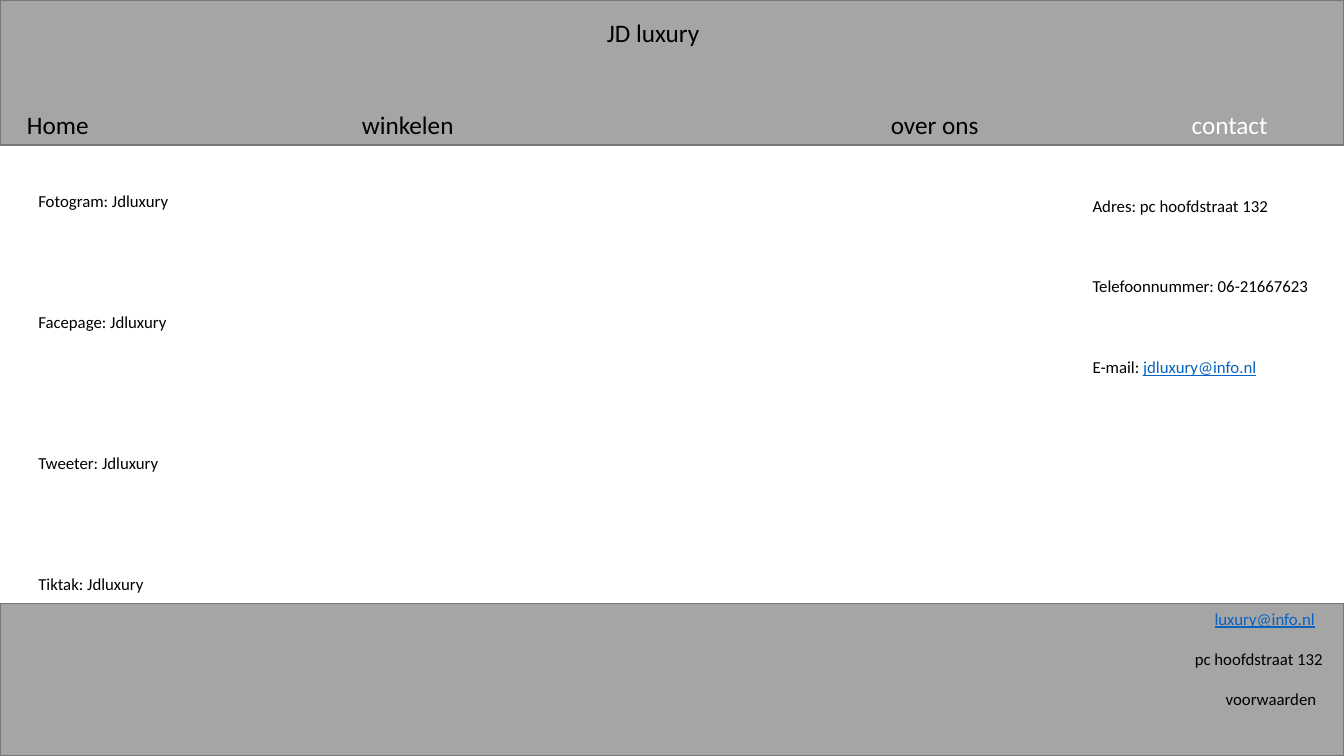
from pptx import Presentation
from pptx import util as u
from pptx.dml.color import RGBColor
from pptx.enum import shapes, text
from lxml import etree

COLORS = {
    "band": "A5A5A5",
    "edge": "787878",
    "ink": "000000",
    "active": "FFFFFF",
    "link": "0563C1",
}
DRAWING = "{http://schemas.openxmlformats.org/drawingml/2006/main}"
LINE = 14.4
SLIDE_WIDTH = 33.87
SLIDE_HEIGHT = 19.05


def rgb(key):
    return RGBColor.from_string(COLORS[key])


def write(paragraph, words, size=12, color="ink", underline=False):
    run = paragraph.add_run()
    run.text = words
    run.font.name = "Calibri"
    run.font.size = u.Pt(size)
    run.font.color.rgb = rgb(color)
    run.font.underline = underline


def place(holder, left, top, width, height):
    holder.left, holder.top = u.Cm(left), u.Cm(top)
    holder.width, holder.height = u.Cm(width), u.Cm(height)
    frame = holder.text_frame
    frame.word_wrap = True
    frame.auto_size = text.MSO_AUTO_SIZE.NONE
    frame.vertical_anchor = text.MSO_ANCHOR.TOP
    return frame


def next_line(frame, gap=0, indent=0):
    first = not frame.paragraphs[0].runs
    paragraph = frame.paragraphs[0] if first else frame.add_paragraph()
    paragraph.alignment = text.PP_ALIGN.LEFT
    paragraph.line_spacing = 1.0
    paragraph.space_before = u.Pt(gap * LINE)
    paragraph.space_after = u.Pt(0)
    properties = paragraph._p.get_or_add_pPr()
    properties.set("marL", str(u.Cm(indent)))
    properties.set("indent", "0")
    etree.SubElement(properties, DRAWING + "buNone")
    return paragraph


def add_band(slide, top, height):
    band = slide.shapes.add_shape(
        shapes.MSO_SHAPE.RECTANGLE, 0, u.Cm(top), u.Cm(SLIDE_WIDTH), u.Cm(height))
    band.shadow.inherit = False
    band.fill.solid()
    band.fill.fore_color.rgb = rgb("band")
    band.line.color.rgb = rgb("edge")
    band.line.width = u.Pt(1)
    slide.shapes.title.element.addprevious(band.element)


def add_header(slide, top, height):
    add_band(slide, top, height)
    shop_name = place(slide.shapes.title, 15.04, top + 0.3, 4, 1.02)
    write(next_line(shop_name), "JD luxury", size=18)
    menu = [("Home", 0.43, "ink"), ("winkelen", 8.87, "ink"),
            ("over ons", 22.2, "ink"), ("contact", 29.78, "active")]
    for label, left, color in menu:
        item = slide.shapes.add_textbox(0, 0, 0, 0)
        frame = place(item, left, top + height - 1.04, 4, 1.02)
        write(next_line(frame), label, size=18, color=color)


def add_socials(slide, left, top, width, height):
    frame = place(slide.placeholders[1], left, top, width, height)
    accounts = [("Fotogram", 0), ("Facepage", 5), ("Tweeter", 6), ("Tiktak", 5)]
    for network, gap in accounts:
        write(next_line(frame, gap), f"{network}: Jdluxury")


def add_contact(slide, left, top, width, height):
    frame = place(slide.placeholders[2], left, top, width, height)
    write(next_line(frame), "Adres: pc hoofdstraat 132")
    write(next_line(frame, gap=3), "Telefoonnummer: 06-21667623")
    email = next_line(frame, gap=3)
    write(email, "E-mail: ")
    write(email, "jdluxury@info.nl", color="link", underline=True)


def add_footer(slide, top, height):
    add_band(slide, top, height)
    details = slide.shapes.add_textbox(0, 0, 0, 0)
    frame = place(details, 28.52, top, 5.33, 3.33)
    write(next_line(frame, indent=1.84), "luxury@info.nl", color="link", underline=True)
    write(next_line(frame, gap=1, indent=1.34), "pc hoofdstraat 132")
    write(next_line(frame, gap=1, indent=2.12), "voorwaarden")


def main():
    deck = Presentation()
    deck.slide_width, deck.slide_height = u.Cm(SLIDE_WIDTH), u.Cm(SLIDE_HEIGHT)
    slide = deck.slides.add_slide(deck.slide_layouts[3])
    add_header(slide, 0, 3.66)
    add_footer(slide, 15.21, 3.84)
    add_contact(slide, 27.28, 4.8, 6.02, 7.44)
    add_socials(slide, 0.71, 4.67, 7.59, 10.5)
    deck.save("out.pptx")


if __name__ == "__main__":
    main()
